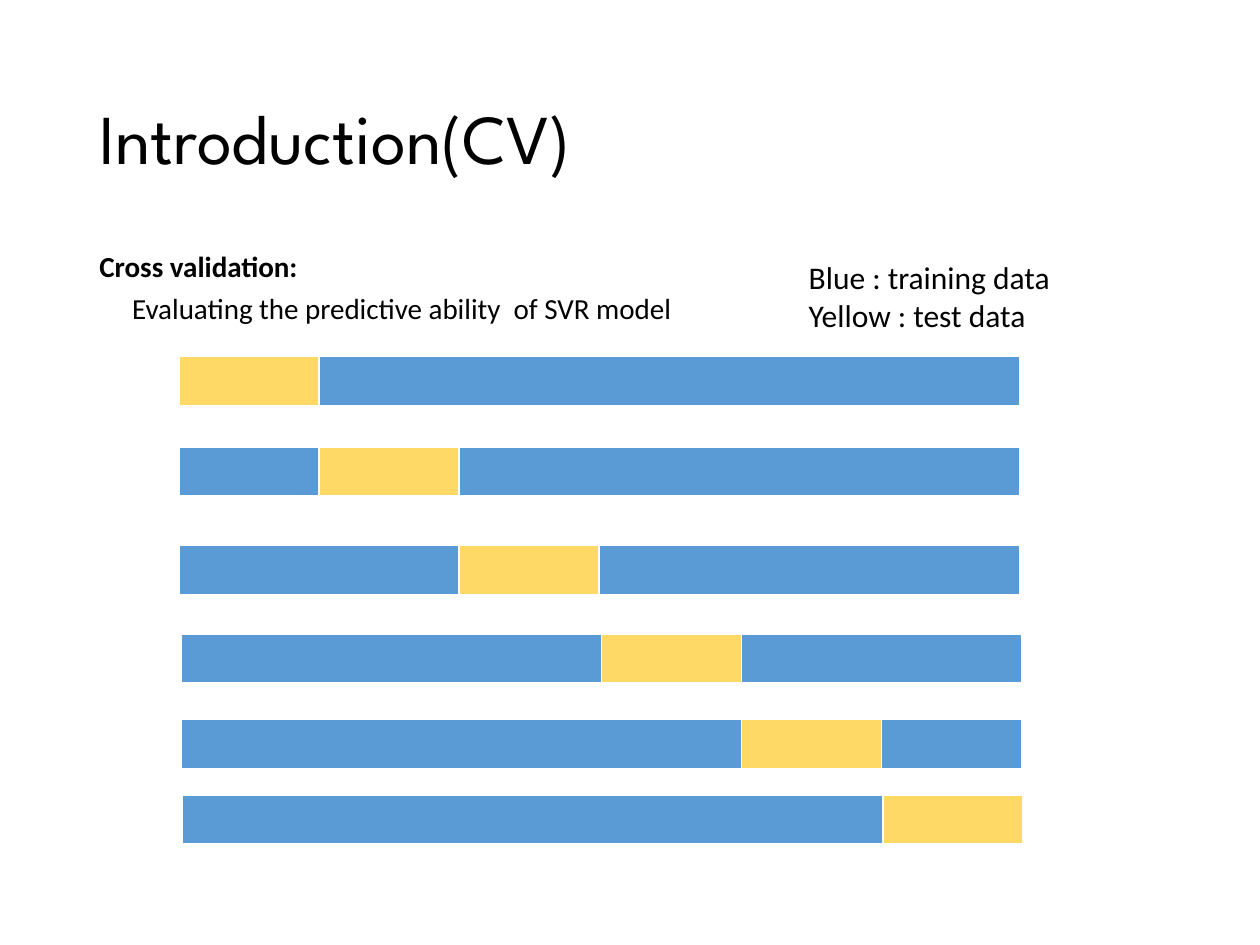
from pptx import Presentation
from pptx.dml.color import RGBColor
from pptx.enum.text import MSO_ANCHOR
from pptx.oxml import parse_xml
from pptx.oxml.ns import nsdecls
from pptx.util import Inches, Pt

TITLE = "Introduction(CV)"
METHOD = ["Cross validation:", "Evaluating the predictive ability  of SVR model"]
LEGEND = ["Blue : training data", "Yellow : test data"]
FOLD_ORIGINS = [(1.42, 2.83), (1.42, 3.55), (1.42, 4.33),
                (1.44, 5.03), (1.44, 5.71), (1.45, 6.31)]
TRAINING, TEST, WHITE, BLACK = "5B9BD5", "FFD966", "FFFFFF", "000000"
BORDERS = {"lnL": 1, "lnR": 1, "lnT": 1, "lnB": 3}
BAR_WIDTH, BAR_HEIGHT = 6.67, 0.4


def color(code):
    return RGBColor.from_string(code)


def add_text(slide, box, lines, size, font, spacing=1.0, gap=0, bold_first=False,
             indent=0, anchor=MSO_ANCHOR.TOP):
    """Add a text box with one paragraph per line."""
    frame = slide.shapes.add_textbox(*map(Inches, box)).text_frame
    frame.word_wrap = True
    frame.vertical_anchor = anchor
    for index, line in enumerate(lines):
        paragraph = frame.paragraphs[0] if index == 0 else frame.add_paragraph()
        paragraph.line_spacing = spacing
        if index:
            paragraph.space_before = Pt(gap)
            paragraph._p.get_or_add_pPr().set("marL", str(Inches(indent)))
        run = paragraph.add_run()
        run.text = line
        run.font.size = Pt(size)
        run.font.name = font
        run.font.bold = bold_first and index == 0
        run.font.color.rgb = color(BLACK)


def style_cell(cell, fill):
    """Give a cell its white borders and its fill."""
    cell.margin_top = cell.margin_bottom = 0
    properties = cell._tc.get_or_add_tcPr()
    for side, width in BORDERS.items():
        properties.append(parse_xml(
            f'<a:{side} {nsdecls("a")} w="{Pt(width)}"><a:solidFill>'
            f'<a:srgbClr val="{WHITE}"/></a:solidFill></a:{side}>'))
    cell.fill.solid()
    cell.fill.fore_color.rgb = color(fill)


def add_fold(slide, origin, fold, folds):
    """Add one bar whose test part is the given fold."""
    parts = [(fold, TRAINING), (1, TEST), (folds - fold - 1, TRAINING)]
    parts = [part for part in parts if part[0]]
    left, top = origin
    bar = slide.shapes.add_table(1, len(parts), Inches(left), Inches(top),
                                 Inches(BAR_WIDTH), Inches(BAR_HEIGHT)).table
    for index, (share, fill) in enumerate(parts):
        bar.columns[index].width = Inches(BAR_WIDTH * share / folds)
        style_cell(bar.cell(0, index), fill)


def main():
    """Build the cross validation slide."""
    deck = Presentation()
    deck.slide_width, deck.slide_height = Inches(10), Inches(7.5)
    slide = deck.slides.add_slide(deck.slide_layouts[6])
    add_text(slide, (0.69, 0.4, 8.62, 1.45), [TITLE], 40, "League Spartan",
             spacing=0.9, anchor=MSO_ANCHOR.MIDDLE)
    add_text(slide, (0.69, 2, 8.62, 0.66), METHOD, 16.6, "Calibri",
             spacing=0.7, gap=10, bold_first=True, indent=0.26)
    for fold, origin in enumerate(FOLD_ORIGINS):
        add_fold(slide, origin, fold, len(FOLD_ORIGINS))
    add_text(slide, (6.32, 2, 2.17, 0.71), LEGEND, 18, "Calibri")
    deck.save("out.pptx")


if __name__ == "__main__":
    main()
